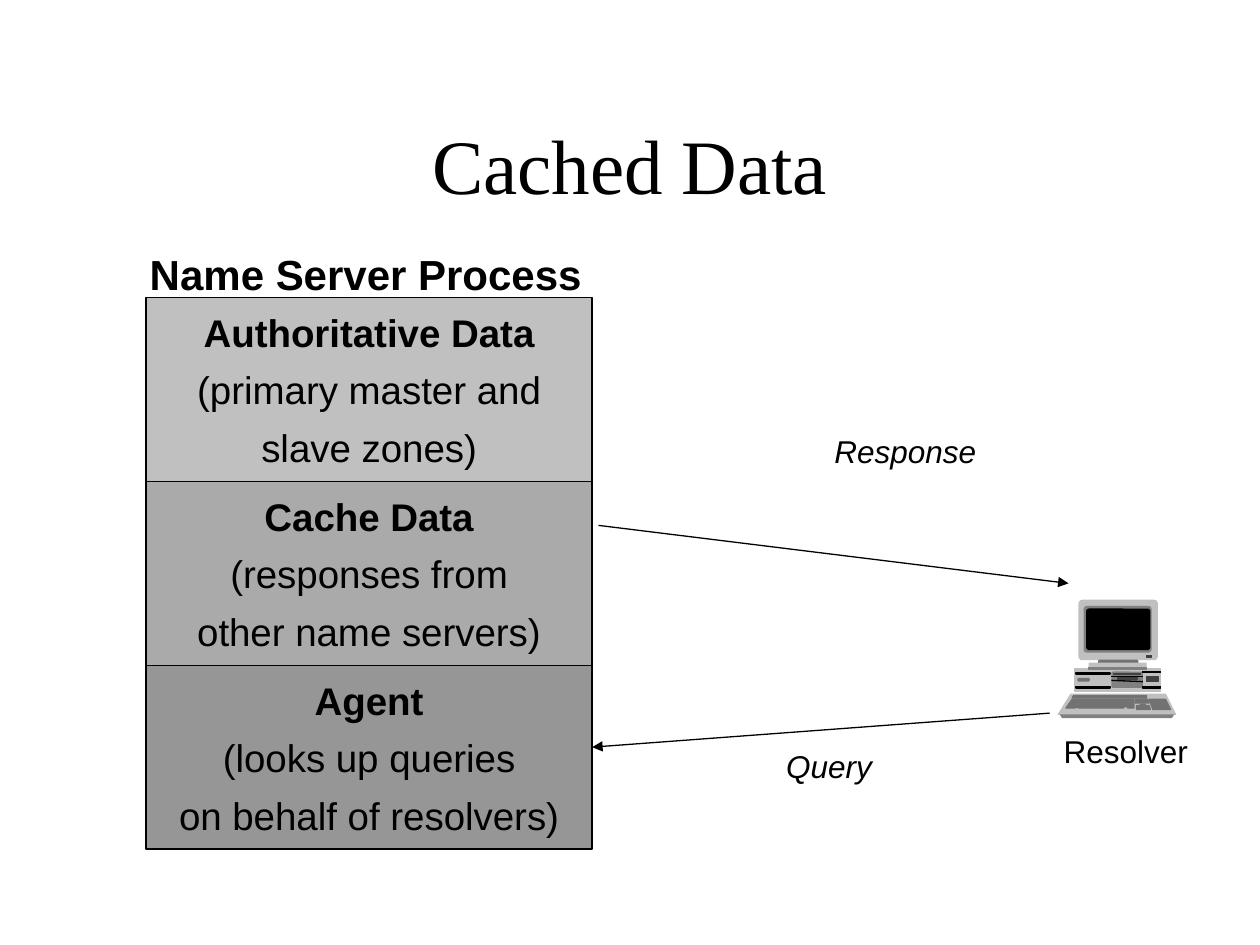
from lxml import etree
from pptx import Presentation
from pptx.dml.color import RGBColor
from pptx.enum.shapes import MSO_CONNECTOR, MSO_SHAPE
from pptx.enum.text import MSO_ANCHOR, PP_ALIGN
from pptx.oxml.ns import qn
from pptx.util import Inches, Pt

BLACK, DARK, SLATE, GRAY, SILVER = "000000", "404040", "727272", "808080", "C0C0C0"
LINE_WIDTH = Pt(0.75)

STACK = [
    ("C0C0C0", ["Authoritative Data", "(primary master and", "slave zones)"]),
    ("AAAAAA", ["Cache Data", "(responses from", "other name servers)"]),
    ("969696", ["Agent", "(looks up queries", "on behalf of resolvers)"]),
]

# Computer blocks: left, top, width, height, fill, outlined, corner ratio
CASE = [
    (0.13, 0.55, 0.68, 0.18, SILVER, True, 0),
    (0.15, 0.62, 0.10, 0.03, SLATE, False, 0.4),
    (0.42, 0.57, 0.25, 0.13, GRAY, False, 0.12),
    (0.14, 0.58, 0.27, 0.01, BLACK, True, 0),
    (0.14, 0.69, 0.27, 0.01, BLACK, True, 0),
    (0.67, 0.57, 0.14, 0.01, BLACK, True, 0),
    (0.67, 0.69, 0.14, 0.01, BLACK, True, 0),
    (0.44, 0.59, 0.21, 0, DARK, True, 0),
    (0.47, 0.62, 0.16, 0.01, DARK, True, 0),
    (0.70, 0.61, 0.09, 0.04, DARK, True, 0),
]
MONITOR = [
    (0.16, 0, 0.63, 0.48, SILVER, False, 0.06),
    (0.20, 0.05, 0.54, 0.37, GRAY, False, 0.07),
    (0.22, 0.07, 0.51, 0.33, BLACK, False, 0.07),
    (0.32, 0.48, 0.31, 0.05, SLATE, True, 0.16),
    (0.70, 0.44, 0.04, 0.02, DARK, True, 0),
    (0.24, 0.50, 0.46, 0.04, SILVER, False, 0),
    (0.24, 0.54, 0.46, 0.01, GRAY, True, 0),
]
DRIVE_SLOTS = [(0.42, 0.61, 0.67, 0.61), (0.42, 0.64, 0.67, 0.65)]
# Keyboard outlines: fill, outlined, corner points
KEYBOARD = [
    (SILVER, True, [(0.10, 0.75), (0.85, 0.75), (0.93, 0.91), (0, 0.91)]),
    (GRAY, False, [(0.01, 0.91), (0.92, 0.91), (0.90, 0.94), (0.03, 0.94)]),
    (SLATE, True, [(0.12, 0.76), (0.11, 0.78), (0.70, 0.78), (0.70, 0.76)]),
    (SLATE, True, [(0.11, 0.79), (0.60, 0.79), (0.60, 0.86), (0.55, 0.86),
                   (0.55, 0.85), (0.52, 0.85), (0.52, 0.86), (0.16, 0.86),
                   (0.16, 0.85), (0.13, 0.86), (0.06, 0.86)]),
    (SLATE, True, [(0.61, 0.79), (0.61, 0.82), (0.72, 0.82), (0.71, 0.79)]),
    (SLATE, True, [(0.65, 0.83), (0.65, 0.84), (0.62, 0.84), (0.62, 0.87),
                   (0.73, 0.87), (0.72, 0.84), (0.69, 0.84), (0.69, 0.83)]),
    (SLATE, True, [(0.72, 0.79), (0.75, 0.87), (0.89, 0.87), (0.85, 0.79)]),
]


def color(hex_value):
    return RGBColor.from_string(hex_value)


def style_shape(shape, fill, outline=None):
    shape.shadow.inherit = False
    shape.fill.solid()
    shape.fill.fore_color.rgb = color(fill)
    if outline:
        shape.line.color.rgb = color(outline)
        shape.line.width = LINE_WIDTH
    else:
        shape.line.fill.background()


def style_para(para, size, font="Arial", bold=False, italic=False,
               align=PP_ALIGN.CENTER):
    para.alignment = align
    for span in para.runs:
        span.font.name = font
        span.font.size = Pt(size)
        span.font.bold = bold
        span.font.italic = italic
        span.font.color.rgb = color(BLACK)


def add_label(page, text, left, top, width, height, size, wrap=False,
              anchor=MSO_ANCHOR.TOP, **style):
    box = page.shapes.add_textbox(*map(Inches, (left, top, width, height)))
    frame = box.text_frame
    frame.text = text
    frame.word_wrap = wrap
    frame.vertical_anchor = anchor
    style_para(frame.paragraphs[0], size, **style)


def add_line(page, start_x, start_y, end_x, end_y, arrow=False):
    line = page.shapes.add_connector(
        MSO_CONNECTOR.STRAIGHT, *map(Inches, (start_x, start_y, end_x, end_y)))
    line.line.color.rgb = color(BLACK)
    line.line.width = LINE_WIDTH
    if arrow:
        etree.SubElement(line.line._get_or_add_ln(), qn("a:tailEnd"), type="triangle")
    etree.SubElement(line._element.spPr, qn("a:effectLst"))


def add_name_server(page, left, top, width, row_height):
    for row, (fill, lines) in enumerate(STACK):
        box = page.shapes.add_shape(
            MSO_SHAPE.RECTANGLE,
            *map(Inches, (left, top + row * row_height, width, row_height)))
        style_shape(box, fill, BLACK)
        frame = box.text_frame
        frame.text = "\n".join(lines)
        frame.word_wrap = False
        frame.vertical_anchor = MSO_ANCHOR.MIDDLE
        for index, para in enumerate(frame.paragraphs):
            style_para(para, 22, bold=index == 0)
            para.space_before = Pt(6.5)
    add_label(page, "Name Server Process", left - 0.07, top - 0.44, 3.63, 0.5,
              24, bold=True, align=PP_ALIGN.LEFT)


def add_blocks(page, left, top, blocks):
    for x, y, width, height, fill, outlined, corner in blocks:
        block = page.shapes.add_shape(
            MSO_SHAPE.ROUNDED_RECTANGLE,
            *map(Inches, (left + x, top + y, width, height)))
        block.adjustments[0] = corner
        style_shape(block, fill, fill if outlined else None)


def add_keyboard(page, left, top):
    for fill, outlined, corners in KEYBOARD:
        points = [(Inches(left + x), Inches(top + y)) for x, y in corners]
        builder = page.shapes.build_freeform(*points[0])
        builder.add_line_segments(points[1:], close=True)
        style_shape(builder.convert_to_shape(), fill, fill if outlined else None)


def add_resolver(page, left, top):
    add_blocks(page, left, top, CASE)
    for x1, y1, x2, y2 in DRIVE_SLOTS:
        add_line(page, left + x1, top + y1, left + x2, top + y2)
    add_keyboard(page, left, top)
    add_blocks(page, left, top, MONITOR)
    add_label(page, "Resolver", left - 0.06, top + 1, 1.19, 0.4, 18)


def add_messages(page):
    add_line(page, 8.33, 5.66, 4.7, 5.93, arrow=True)
    add_label(page, "Query", 6.14, 5.88, 0.88, 0.4, 18, italic=True)
    add_label(page, "Response", 6.52, 3.38, 1.33, 0.4, 18, italic=True)
    add_line(page, 4.75, 4.17, 8.48, 4.63, arrow=True)


def main():
    deck = Presentation()
    deck.slide_width, deck.slide_height = Inches(10), Inches(7.5)
    page = deck.slides.add_slide(deck.slide_layouts[6])
    add_label(page, "Cached Data", 0.75, 0.67, 8.5, 1.25, 44, wrap=True,
              anchor=MSO_ANCHOR.MIDDLE, font="Times New Roman")
    add_messages(page)
    add_name_server(page, 1.16, 2.36, 3.54, 1.46)
    add_resolver(page, 8.4, 4.76)
    deck.save("out.pptx")


if __name__ == "__main__":
    main()
